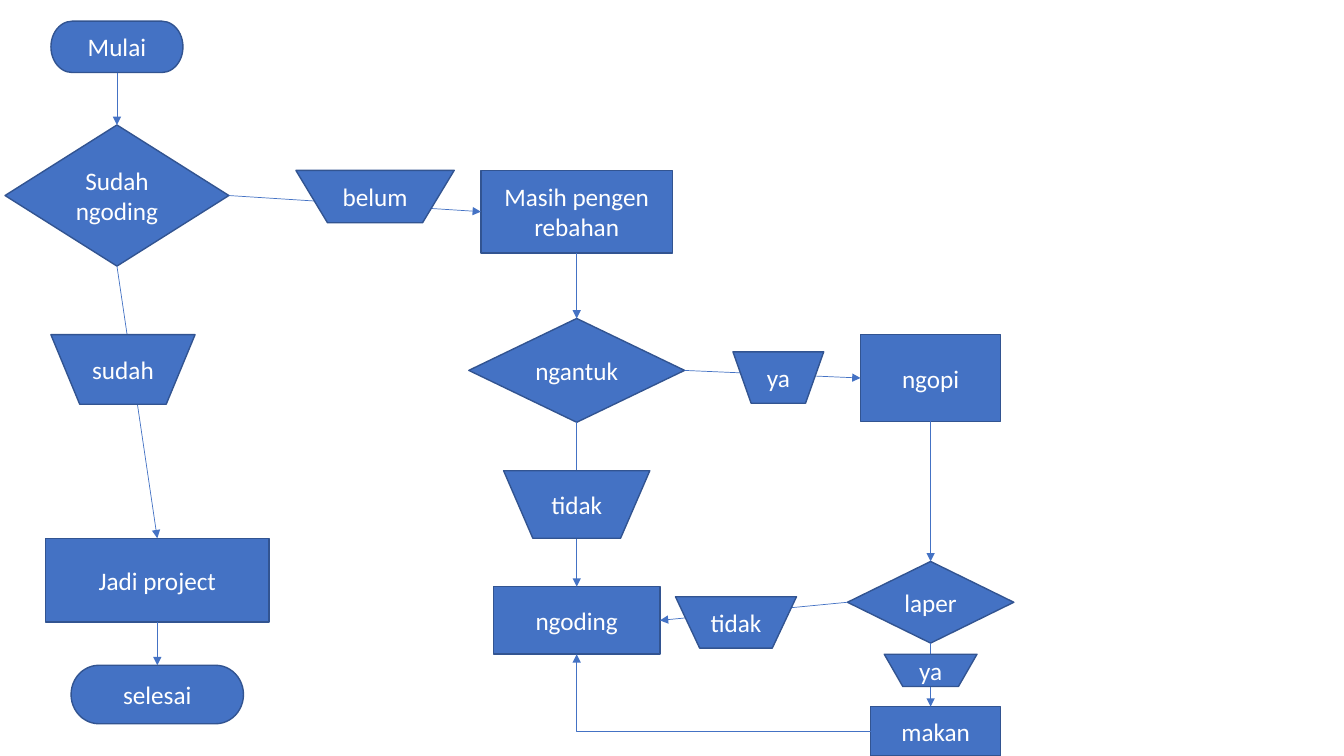
from lxml import etree
from pptx import Presentation
from pptx.dml.color import RGBColor
from pptx.enum.shapes import MSO_CONNECTOR, MSO_SHAPE
from pptx.enum.text import MSO_ANCHOR, PP_ALIGN
from pptx.oxml.ns import qn
from pptx.util import Inches, Pt

BOX = MSO_SHAPE.RECTANGLE
ASK = MSO_SHAPE.FLOWCHART_DECISION
END = MSO_SHAPE.FLOWCHART_TERMINATOR
TAG = MSO_SHAPE.FLOWCHART_MANUAL_OPERATION
LINE, ELBOW = MSO_CONNECTOR.STRAIGHT, MSO_CONNECTOR.ELBOW
MIDDLE, CENTER = MSO_ANCHOR.MIDDLE, PP_ALIGN.CENTER
TOP, LEFT, BOTTOM, RIGHT = range(4)
BLUE, EDGE, WHITE = "4472C4", "325491", "FFFFFF"


def color(code):
    return RGBColor.from_string(code)


def node(slide, kind, mid, top, width, height, *lines):
    """Add a flowchart shape centred on mid, one paragraph per line."""
    shape = slide.shapes.add_shape(
        kind, Inches(mid - width / 2), Inches(top), Inches(width), Inches(height))
    shape.shadow.inherit = False
    shape.fill.solid()
    shape.fill.fore_color.rgb = color(BLUE)
    shape.line.color.rgb = color(EDGE)
    shape.line.width = Pt(1)
    frame = shape.text_frame
    frame.word_wrap = True
    frame.vertical_anchor = MIDDLE
    for i, line in enumerate(lines):
        para = frame.add_paragraph() if i else frame.paragraphs[0]
        para.alignment = CENTER
        run = para.add_run()
        run.text = line
        run.font.name = "Calibri"
        run.font.size = Pt(18)
        run.font.color.rgb = color(WHITE)
    return shape


def arrow(slide, kind, start, end):
    """Add a thin connector with an arrowhead between two points."""
    wire = slide.shapes.add_connector(kind, *start, *end)
    wire.line.color.rgb = color(BLUE)
    wire.line.width = Pt(0.5)
    head = etree.SubElement(wire.line._get_or_add_ln(), qn("a:tailEnd"))
    head.set("type", "triangle")
    etree.SubElement(wire._element.spPr, qn("a:effectLst"))
    return wire


def link(slide, first, out, last, into):
    """Join the sides of two nodes with a straight arrow."""
    wire = arrow(slide, LINE, (0, 0), (0, 0))
    wire.begin_connect(first, out)
    wire.end_connect(last, into)


def project(slide, x, y):
    """Left column: from start to finished project."""
    mid, low = x + 1.11, x + 1.51
    start = node(slide, END, mid, y, 1.31, 0.51, "Mulai")
    done = node(slide, ASK, mid, y + 1.03, 2.22, 1.4, "Sudah", "ngoding")
    made = node(slide, BOX, low, y + 5.13, 2.22, 0.83, "Jadi project")
    stop = node(slide, END, low, y + 6.39, 1.71, 0.58, "selesai")
    link(slide, start, BOTTOM, done, TOP)
    link(slide, done, BOTTOM, made, TOP)
    link(slide, made, BOTTOM, stop, TOP)
    node(slide, TAG, x + 1.17, y + 3.11, 1.43, 0.69, "sudah")
    return done


def coding(slide, x, y):
    """Middle column: from resting to coding."""
    mid = x + 1.07
    rest = node(slide, BOX, mid, y, 1.9, 0.82, "Masih pengen rebahan")
    tired = node(slide, ASK, mid, y + 1.47, 2.14, 1.03, "ngantuk")
    code = node(slide, BOX, mid, y + 4.13, 1.65, 0.67, "ngoding")
    link(slide, rest, BOTTOM, tired, TOP)
    link(slide, tired, BOTTOM, code, TOP)
    node(slide, TAG, mid, y + 2.98, 1.45, 0.67, "tidak")
    return rest, tired, code


def snack(slide, x, y):
    """Right column: coffee, then food."""
    mid = x + 0.83
    drink = node(slide, BOX, mid, y, 1.39, 0.86, "ngopi")
    hungry = node(slide, ASK, mid, y + 2.25, 1.65, 0.81, "laper")
    eat = node(slide, BOX, x + 0.88, y + 3.69, 1.29, 0.49, "makan")
    link(slide, drink, BOTTOM, hungry, TOP)
    # This arrow lands left of the middle of the last box
    foot = (Inches(mid), hungry.top + hungry.height)
    wire = arrow(slide, LINE, foot, (Inches(mid), eat.top))
    wire.begin_connect(hungry, BOTTOM)
    node(slide, TAG, mid, y + 3.17, 0.92, 0.32, "ya")
    return drink, hungry, eat


def bridge(slide, done, rest, tired, code, drink, hungry, eat):
    """Arrows and answers between the columns."""
    link(slide, done, RIGHT, rest, LEFT)
    link(slide, tired, RIGHT, drink, LEFT)
    link(slide, hungry, LEFT, code, RIGHT)
    node(slide, TAG, 3.72, 1.69, 1.57, 0.52, "belum")
    node(slide, TAG, 7.72, 3.49, 0.9, 0.51, "ya")
    node(slide, TAG, 7.3, 5.92, 1.2, 0.51, "tidak")
    # Way back from food to coding, with a single bend
    begin = (eat.left, eat.top + eat.height // 2)
    end = (code.left + code.width // 2, code.top + code.height)
    back = arrow(slide, ELBOW, begin, end)
    back._element.spPr.find(qn("a:prstGeom")).set("prst", "bentConnector2")


def main():
    deck = Presentation()
    deck.slide_width, deck.slide_height = Inches(13.33), Inches(7.5)
    slide = deck.slides.add_slide(deck.slide_layouts[6])
    done = project(slide, 0.05, 0.21)
    middle = coding(slide, 4.65, 1.69)
    right = snack(slide, 8.4, 3.32)
    bridge(slide, done, *middle, *right)
    deck.save("out.pptx")


if __name__ == "__main__":
    main()
